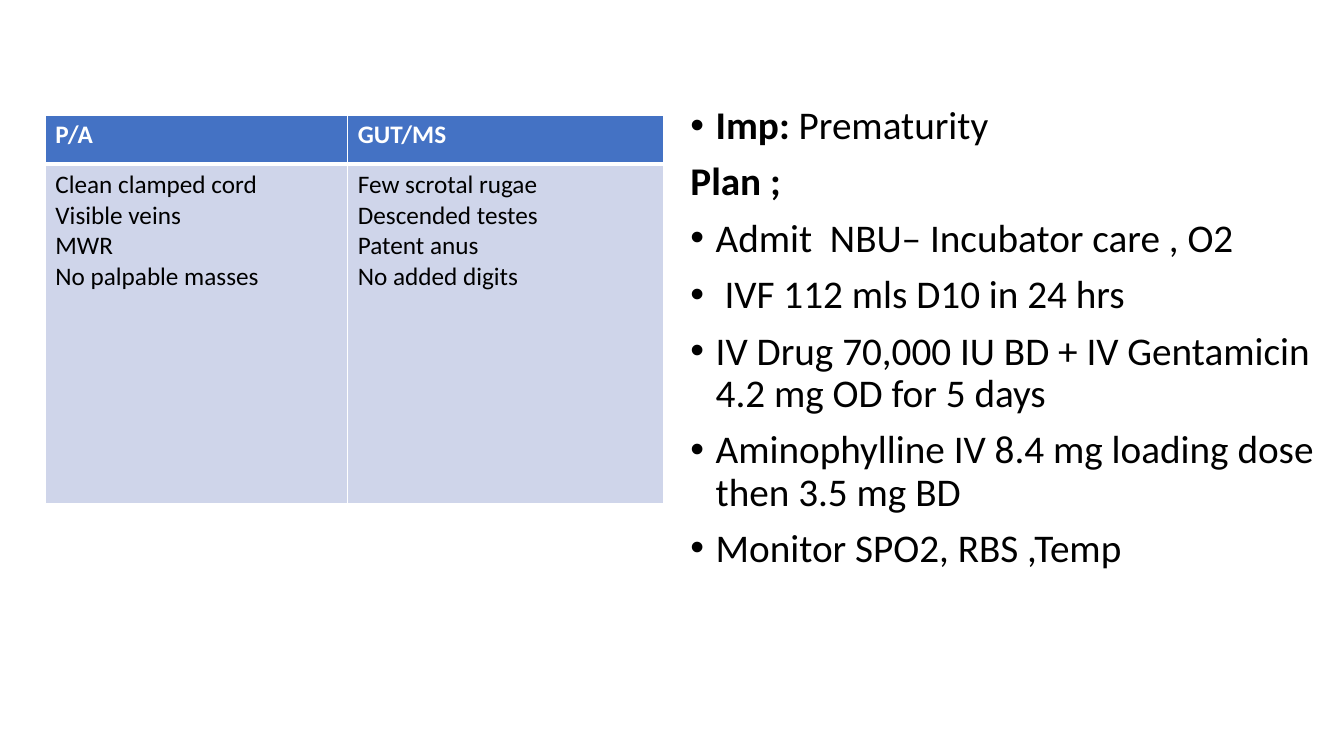
from dataclasses import dataclass
from lxml.etree import SubElement
from pptx import Presentation
from pptx.dml.color import RGBColor as Rgb
from pptx.oxml.ns import qn
from pptx.util import Inches, Pt


@dataclass(frozen=True)
class Theme:
    font: str = "Calibri"
    white: str = "FFFFFF"
    black: str = "000000"
    head: str = "4472C4"
    body: str = "CFD5EA"
    cell: int = 18
    plan: int = 28
    thin: int = 1
    thick: int = 3


def write(para, text, size, color, font, bold=False):
    run = para.add_run()
    run.text = text
    run.font.name = font
    run.font.size = Pt(size)
    run.font.bold = bold
    run.font.color.rgb = Rgb.from_string(color)


def bullet(para, indent):
    props = para._p.get_or_add_pPr()
    props.set("marL", str(indent))
    props.set("indent", str(-indent))
    SubElement(props, qn("a:buFont"), typeface="Arial")
    SubElement(props, qn("a:buChar"), char="•")


def border(cell, side, width, color):
    props = cell._tc.get_or_add_tcPr()
    line = SubElement(props, qn("a:" + side), w=str(Pt(width)))
    fill = SubElement(line, qn("a:solidFill"))
    SubElement(fill, qn("a:srgbClr"), val=color)


class Deck:
    def __init__(self, theme):
        self.theme = theme
        self.prs = Presentation()
        self.prs.slide_width = Inches(13.33)
        self.prs.slide_height = Inches(7.5)
        self.slide = self.prs.slides.add_slide(self.prs.slide_layouts[6])

    def table(self, left, top, cols, rows, data):
        look = self.theme
        frame = self.slide.shapes.add_table(
            len(rows), len(cols), Inches(left), Inches(top),
            Inches(sum(cols)), Inches(sum(rows)))
        grid = frame.table
        for col, width in zip(grid.columns, cols):
            col.width = Inches(width)
        for row, height in zip(grid.rows, rows):
            row.height = Inches(height)
        for i, row in enumerate(data):
            for j, lines in enumerate(row):
                self.cell(grid.cell(i, j), lines, i == 0,
                          look.head if i == 0 else look.body)

    def cell(self, cell, lines, head, fill):
        look = self.theme
        # Borders come before the fill in the cell properties
        for side in ("lnL", "lnR", "lnT", "lnB"):
            heavy = side == ("lnB" if head else "lnT")
            border(cell, side, look.thick if heavy else look.thin, look.white)
        cell.fill.solid()
        cell.fill.fore_color.rgb = Rgb.from_string(fill)
        frame = cell.text_frame
        for i, line in enumerate(lines):
            para = frame.add_paragraph() if i else frame.paragraphs[0]
            write(para, line, look.cell, look.white if head else look.black,
                  look.font, bold=head)

    def notes(self, left, top, width, height, items):
        look = self.theme
        box = self.slide.shapes.add_textbox(
            Inches(left), Inches(top), Inches(width), Inches(height))
        frame = box.text_frame
        frame.word_wrap = True
        for i, (label, text) in enumerate(items):
            para = frame.add_paragraph() if i else frame.paragraphs[0]
            para.line_spacing = 0.9
            para.space_before = Pt(10)
            if text:
                bullet(para, Inches(0.25))
            for part, bold in ((label, True), (text, False)):
                if part:
                    write(para, part, look.plan, look.black, look.font, bold)


deck = Deck(Theme())

# Examination findings
deck.table(0.45, 1.14, (3, 3.13), (0.49, 3.37), [
    [["P/A"], ["GUT/MS"]],
    [["Clean clamped cord", "Visible veins", "MWR", "No palpable masses"],
     ["Few scrotal rugae", "Descended testes", "Patent anus",
      "No added digits"]],
])

# Impression and plan: bold label, then bulleted text
deck.notes(6.75, 1, 6.38, 5.76, [
    ("Imp: ", "Prematurity"),
    ("Plan ;", ""),
    ("", "Admit  NBU– Incubator care , O2"),
    ("", " IVF 112 mls D10 in 24 hrs"),
    ("", "IV Drug 70,000 IU BD + IV Gentamicin 4.2 mg OD for 5 days"),
    ("", "Aminophylline IV 8.4 mg loading dose then 3.5 mg BD"),
    ("", "Monitor SPO2, RBS ,Temp"),
])

deck.prs.save("out.pptx")
